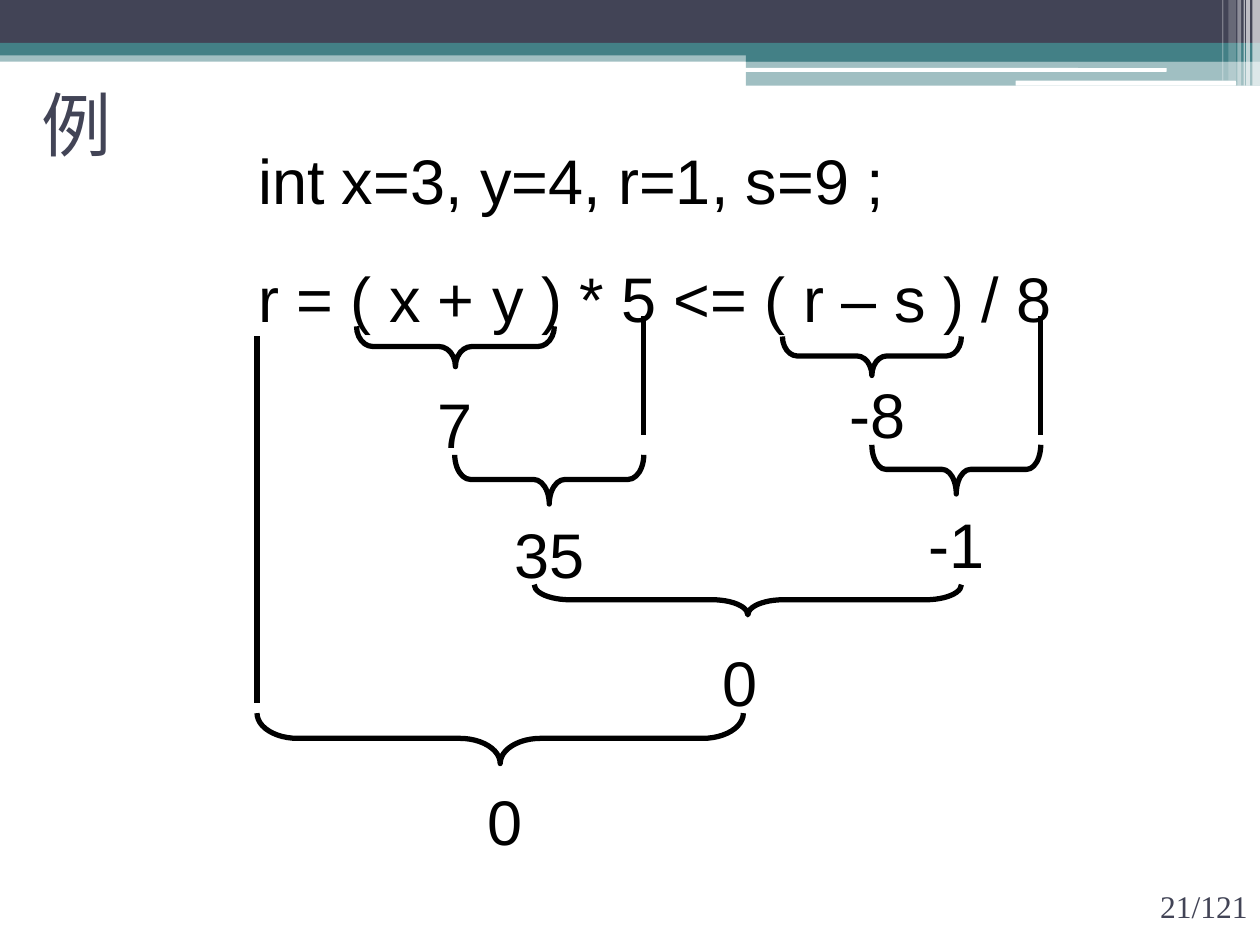
import dataclasses

import pptx
import pptx.dml.color
import pptx.enum.shapes
import pptx.enum.text
import pptx.oxml
import pptx.oxml.ns
import pptx.util
from lxml import etree

SHAPE = pptx.enum.shapes.MSO_SHAPE
ALIGN = pptx.enum.text.PP_ALIGN
ANCHOR = pptx.enum.text.MSO_ANCHOR


@dataclasses.dataclass(frozen=True)
class Theme:
    navy: str = "424456"
    teal: str = "438086"
    white: str = "FFFFFF"
    ink: str = "000000"
    sans: str = "Arial"
    serif: str = "Times New Roman"
    title_size: float = 40
    body_size: float = 36
    number_size: float = 18
    stroke: float = 3


class SlideBuilder:
    """Draws on a grid of 100 columns by 75 rows."""

    def __init__(self, deck, theme):
        self.theme = theme
        self.column = deck.slide_width / 100
        self.row = deck.slide_height / 75
        self.page = deck.slides.add_slide(deck.slide_layouts[6])

    def place(self, left, top, width, height):
        return (round(left * self.column), round(top * self.row),
                round(width * self.column), round(height * self.row))

    def color(self, name):
        return pptx.dml.color.RGBColor.from_string(name)

    def stroke(self, line):
        line.color.rgb = self.color(self.theme.ink)
        line.width = pptx.util.Pt(self.theme.stroke)

    def bar(self, left, top, width, height, color, opacity=100, kind=SHAPE.RECTANGLE):
        shape = self.page.shapes.add_shape(kind, *self.place(left, top, width, height))
        shape.shadow.inherit = False
        shape.line.fill.background()
        shape.fill.solid()
        shape.fill.fore_color.rgb = self.color(color)
        if opacity < 100:
            rgb = shape.fill._xPr.find(".//" + pptx.oxml.ns.qn("a:srgbClr"))
            etree.SubElement(rgb, pptx.oxml.ns.qn("a:alpha"), val=str(opacity * 1000))

    def text(self, left, top, width, height, lines, size, font, color,
             align=ALIGN.LEFT, anchor=ANCHOR.TOP, wrap=True, gap=0, leading=None):
        box = self.page.shapes.add_textbox(*self.place(left, top, width, height))
        frame = box.text_frame
        frame.word_wrap = wrap
        frame.vertical_anchor = anchor
        frame.text = "\n".join(lines)
        for index, para in enumerate(frame.paragraphs):
            para.alignment = align
            para.line_spacing = leading
            if index:
                para.space_before = pptx.util.Pt(gap)
            for span in para.runs:
                span.font.size = pptx.util.Pt(size)
                span.font.name = font
                span.font.color.rgb = self.color(color)

    def value(self, center, top, label):
        """A partial result, centred below its brace."""
        width = 9
        self.text(center - width / 2, top, width, 7, [label], self.theme.body_size,
                  self.theme.sans, self.theme.ink, ALIGN.CENTER, leading=1.05)

    def brace(self, left, right, top, depth):
        """A brace that opens upward: a left brace turned a quarter."""
        length = right - left
        center, middle = (left + right) / 2, top + depth / 2
        shape = self.page.shapes.add_shape(SHAPE.LEFT_BRACE, *self.place(
            center - depth / 2, middle - length / 2, depth, length))
        shape.rotation = 270
        shape.adjustments[0] = length / depth / 12  # curl is a twelfth of the length
        shape.shadow.inherit = False
        shape.fill.background()
        self.stroke(shape.line)

    def stem(self, x, top, bottom):
        x, top, _, bottom = self.place(x, top, 0, bottom)
        line = self.page.shapes.add_connector(
            pptx.enum.shapes.MSO_CONNECTOR.STRAIGHT, x, top, x, bottom)
        self.stroke(line.line)
        etree.SubElement(line._element.spPr, pptx.oxml.ns.qn("a:effectLst"))


def main():
    theme = Theme()
    deck = pptx.Presentation()
    deck.slide_width = pptx.util.Inches(10)
    deck.slide_height = pptx.util.Inches(7.5)
    slide = SlideBuilder(deck, theme)

    # Header bands
    slide.bar(0, 4, 100, 0.9, theme.teal, 50)
    slide.bar(0, 0, 100, 3.4, theme.navy)
    slide.bar(0, 3.4, 100, 1, theme.teal)
    slide.bar(59.2, 3.9, 40.8, 1, theme.teal)
    slide.bar(59.2, 4.8, 40.8, 2, theme.teal, 50)
    slide.bar(59.1, 5.4, 33.5, 0.3, theme.white, kind=SHAPE.ROUNDED_RECTANGLE)
    slide.bar(80.6, 6.4, 17.5, 0.4, theme.white, kind=SHAPE.ROUNDED_RECTANGLE)

    # Pale stripes in the header's right corner
    for left, width, height, opacity in (
            (99.4, 0.6, 6.8, 65), (98.9, 0.3, 6.8, 65), (98.7, 0.1, 6.8, 60),
            (98.2, 0.3, 6.8, 40), (97.5, 0.6, 6.4, 20), (97, 0.1, 6.4, 30)):
        slide.bar(left, 0, width, height, theme.white, opacity)

    # Title and page number
    slide.text(2.3, 5.5, 94.5, 8.6, ["例"], theme.title_size, theme.serif,
               theme.navy, anchor=ANCHOR.MIDDLE)
    slide.text(89.1, 68.8, 10.9, 6.2, ["21/121"], theme.number_size, theme.serif,
               theme.navy, ALIGN.RIGHT, ANCHOR.MIDDLE)

    # Declaration and expression
    slide.text(19.5, 10.4, 66.4, 16.2,
               ["int x=3, y=4, r=1, s=9 ;", "r = ( x + y ) * 5 <= ( r – s ) / 8"],
               theme.body_size, theme.sans, theme.ink, wrap=False, gap=22.4, leading=1.05)

    # Evaluation steps: each brace leads to the value below it
    target, five, eight = 20.4, 51.1, 82.6
    for left, right, top, depth in (
            (28.3, 44, 25.9, 3.2), (36.1, five, 36.1, 3.9),
            (62.1, 76.3, 26.7, 3.1), (69.2, eight, 35.3, 3.9),
            (42.4, 76.3, 46.4, 2.4), (target, 59, 56.6, 4)):
        slide.brace(left, right, top, depth)
    for center, top, label in (
            (36.15, 29.8, "7"), (43.6, 40.1, "35"), (69.65, 29, "-8"),
            (75.95, 39.3, "-1"), (58.7, 50.3, "0"), (40.1, 61.3, "0")):
        slide.value(center, top, label)

    # Stems carry operands down to their brace
    for x, top, bottom in ((five, 25.1, 34.5), (eight, 25.1, 34.5), (target, 26.7, 55.8)):
        slide.stem(x, top, bottom)

    deck.save("out.pptx")


if __name__ == "__main__":
    main()
